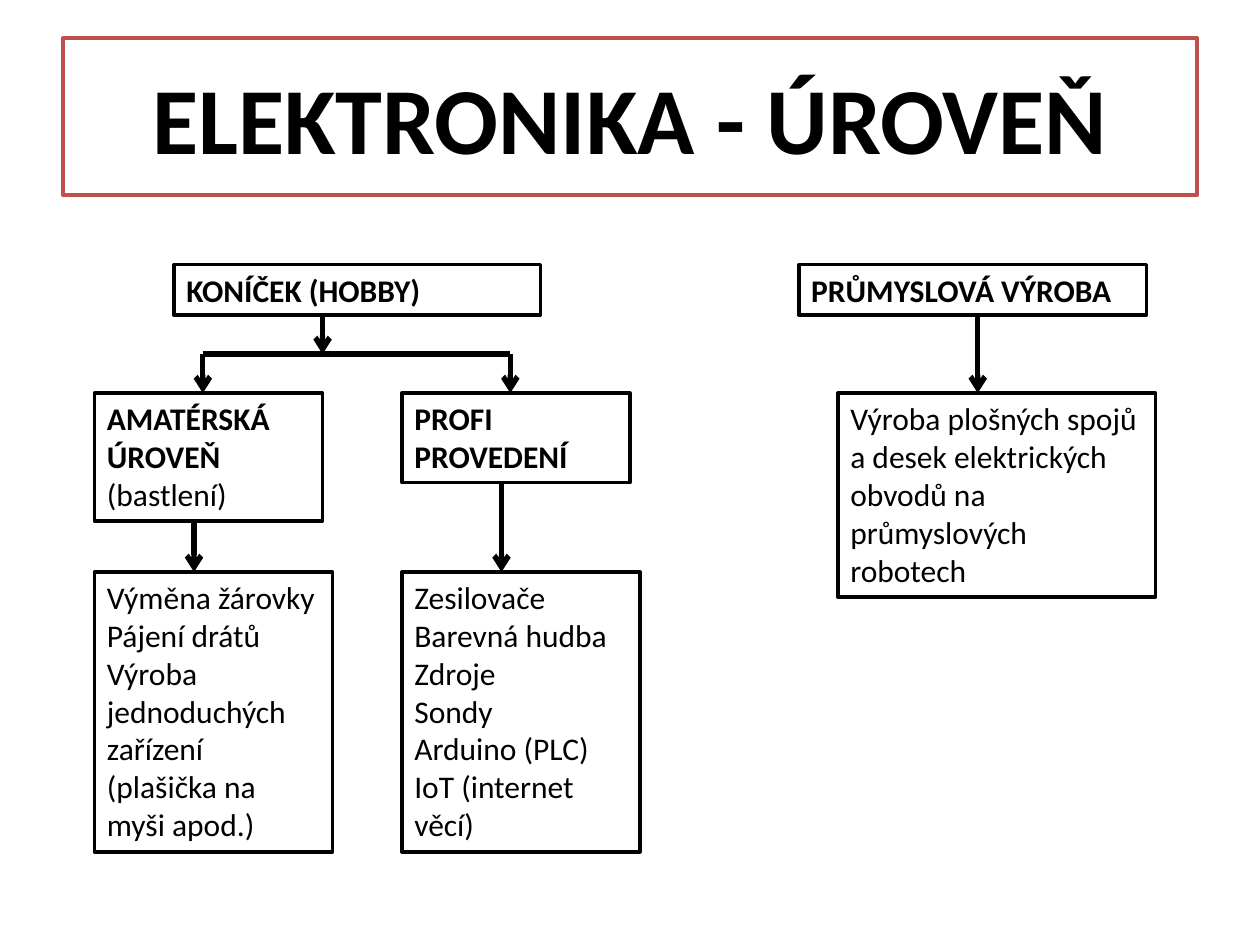
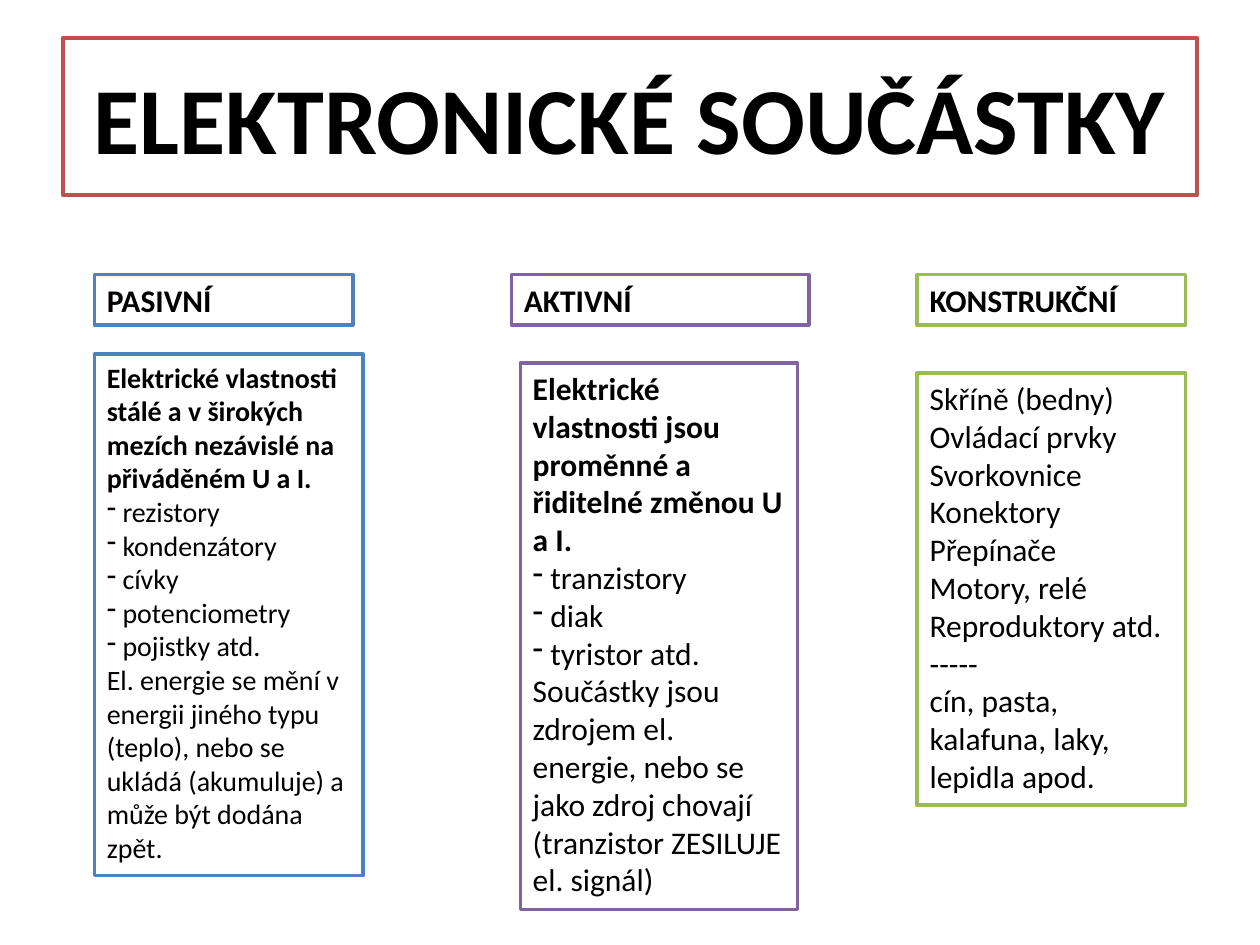
from dataclasses import dataclass

from lxml.etree import SubElement
from pptx import Presentation
from pptx.dml.color import RGBColor
from pptx.enum.shapes import MSO_CONNECTOR
from pptx.enum.text import MSO_ANCHOR, PP_ALIGN
from pptx.oxml.ns import qn
from pptx.util import Inches, Pt

BLACK = RGBColor(0x00, 0x00, 0x00)
WHITE = RGBColor(0xFF, 0xFF, 0xFF)
RED = RGBColor(0xC0, 0x50, 0x4D)
BLUE = RGBColor(0x4F, 0x81, 0xBD)
PURPLE = RGBColor(0x80, 0x64, 0xA2)
GREEN = RGBColor(0x9B, 0xBB, 0x59)

FONT = "Calibri"
TITLE_SIZE = 54
TEXT_SIZE = 18
COLUMNS, ROWS = 100, 75
CELL = Inches(0.1)
LABEL_HEIGHT = 4


@dataclass
class Box:
    """An area of the slide grid, in columns and rows."""
    left: float
    top: float
    width: float
    height: float

    def inner(self, left, top, width, height):
        return Box(self.left + left, self.top + top, width, height)

    def point(self, column, row):
        return self.left + column, self.top + row


@dataclass
class Line:
    """One paragraph: a bold start, a plain rest, and perhaps a dash."""
    bold: str = ""
    plain: str = ""
    dash: bool = False


def plain_lines(*texts):
    return [Line(plain=text) for text in texts]


def dash_lines(*texts):
    return [Line(plain=text, dash=True) for text in texts]


def grid(*values):
    return [int(value * CELL) for value in values]


def add_dash(paragraph, size):
    properties = paragraph._p.get_or_add_pPr()
    hang = Pt(size * 0.56)
    properties.set("marL", str(hang))
    properties.set("indent", str(-hang))
    SubElement(properties, qn("a:buChar"), char="-")


def add_frame(slide, box, lines, color=BLACK, size=TEXT_SIZE):
    shape = slide.shapes.add_textbox(
        *grid(box.left, box.top, box.width, box.height))
    shape.fill.solid()
    shape.fill.fore_color.rgb = WHITE
    shape.line.color.rgb = color
    shape.line.width = Pt(2)
    text_frame = shape.text_frame
    text_frame.word_wrap = True
    for index, line in enumerate(lines):
        paragraph = text_frame.add_paragraph() if index else text_frame.paragraphs[0]
        if line.dash:
            add_dash(paragraph, size)
        for text, bold in ((line.bold, True), (line.plain, False)):
            if text:
                run = paragraph.add_run()
                run.text = text
                run.font.name = FONT
                run.font.size = Pt(size)
                run.font.bold = bold
                run.font.color.rgb = BLACK
    return shape


def add_line(slide, start, end, arrow=True):
    connector = slide.shapes.add_connector(
        MSO_CONNECTOR.STRAIGHT, *grid(*start, *end))
    connector.line.color.rgb = BLACK
    connector.line.width = Pt(3)
    if arrow:
        SubElement(connector.line._get_or_add_ln(), qn("a:tailEnd"), type="arrow")
    SubElement(connector._element.spPr, qn("a:effectLst"))


def add_titled_slide(presentation, title):
    slide = presentation.slides.add_slide(presentation.slide_layouts[6])
    box = Box(0.05 * COLUMNS, 0.04 * ROWS, 0.9 * COLUMNS, ROWS / 6)
    text_frame = add_frame(slide, box, [Line(title)], RED, TITLE_SIZE).text_frame
    text_frame.vertical_anchor = MSO_ANCHOR.MIDDLE
    text_frame.paragraphs[0].alignment = PP_ALIGN.CENTER
    return slide


def add_branch(slide, box, heading, heading_height, details):
    """A heading fed by an arrow from the box's top, with details below it."""
    heading_top, details_top = 3.1, 17.3
    heading_bottom = heading_top + heading_height
    add_frame(slide, box.inner(0, heading_top, 18.1, heading_height), [heading])
    add_frame(slide, box.inner(0, details_top, box.width, box.height - details_top),
              details)
    add_line(slide, box.point(8.6, 0), box.point(8.6, heading_top))
    add_line(slide, box.point(7.9, heading_bottom), box.point(7.9, details_top))


def add_hobby_tree(slide, box):
    fork_row, branch_step = 7.1, 24.4
    branches = [
        (Line("AMATÉRSKÁ ÚROVEŇ ", "(bastlení)"), 10.15,
         plain_lines("Výměna žárovky", "Pájení drátů",
                     "Výroba jednoduchých zařízení (plašička na myši apod.)")),
        (Line("PROFI PROVEDENÍ"), 7.1,
         plain_lines("Zesilovače", "Barevná hudba", "Zdroje", "Sondy",
                     "Arduino (PLC)", "IoT (internet věcí)")),
    ]
    add_frame(slide, box.inner(6.3, 0, 29.1, LABEL_HEIGHT), [Line("KONÍČEK (HOBBY)")])
    add_line(slide, box.point(18.1, LABEL_HEIGHT), box.point(18.1, fork_row))
    add_line(slide, box.point(8.6, fork_row),
             box.point(8.6 + branch_step, fork_row), arrow=False)
    for index, branch in enumerate(branches):
        branch_box = box.inner(index * branch_step, fork_row,
                               box.width - branch_step, box.height - fork_row)
        add_branch(slide, branch_box, *branch)


def add_industry_tree(slide, box):
    details_top = 10.2
    add_frame(slide, box.inner(0, 0, 27.6, LABEL_HEIGHT), [Line("PRŮMYSLOVÁ VÝROBA")])
    add_frame(slide, box.inner(3.1, details_top, box.width - 3.1,
                               box.height - details_top),
              plain_lines("Výroba plošných spojů a desek elektrických obvodů "
                          "na průmyslových robotech"))
    add_line(slide, box.point(14.2, LABEL_HEIGHT), box.point(14.2, details_top))


def add_component_group(slide, box, label, label_width, color, inset, gap, lines,
                        size=TEXT_SIZE):
    """A label and its description; inset moves the description to the right."""
    add_frame(slide, box.inner(0, 0, label_width, LABEL_HEIGHT), [Line(label)], color)
    details_top = LABEL_HEIGHT + gap
    add_frame(slide, box.inner(inset, details_top, box.width - inset,
                               box.height - details_top), lines, color, size)


def build_levels(presentation):
    slide = add_titled_slide(presentation, "ELEKTRONIKA - ÚROVEŇ")
    add_hobby_tree(slide, Box(7.5, 21, 43.3, 46.6))
    add_industry_tree(slide, Box(63.4, 21, 28.3, 26.4))


def build_components(presentation):
    slide = add_titled_slide(presentation, "ELEKTRONICKÉ SOUČÁSTKY")
    top = 21.8
    passive = [
        Line("Elektrické vlastnosti stálé a v širokých mezích nezávislé "
             "na přiváděném U a I."),
        *dash_lines("rezistory", "kondenzátory", "cívky", "potenciometry",
                    "pojistky atd."),
        Line(plain="El. energie se mění v energii jiného typu (teplo), nebo se "
                   "ukládá (akumuluje) a může být dodána zpět."),
    ]
    active = [
        Line("Elektrické vlastnosti jsou proměnné a řiditelné změnou U a I."),
        *dash_lines("tranzistory", "diak", "tyristor atd."),
        Line(plain="Součástky jsou zdrojem el. energie, nebo se jako zdroj "
                   "chovají (tranzistor ZESILUJE el. signál)"),
    ]
    structural = plain_lines(
        "Skříně (bedny)", "Ovládací prvky", "Svorkovnice", "Konektory", "Přepínače",
        "Motory, relé", "Reproduktory atd.", "-----",
        "cín, pasta, kalafuna, laky, lepidla apod.")
    add_component_group(slide, Box(7.5, top, 21.3, 47.7),
                        "PASIVNÍ", 20.5, BLUE, 0, 6.3 - LABEL_HEIGHT, passive, size=16)
    add_component_group(slide, Box(40.6, top, 22.7, 50.4),
                        "AKTIVNÍ", 23.6, PURPLE, 0.7, 7 - LABEL_HEIGHT, active)
    add_component_group(slide, Box(72.8, top, 21.3, 42.1),
                        "KONSTRUKČNÍ", 21.3, GREEN, 0, 7.8 - LABEL_HEIGHT, structural)


def main():
    presentation = Presentation()
    presentation.slide_width = COLUMNS * CELL
    presentation.slide_height = ROWS * CELL
    build_levels(presentation)
    build_components(presentation)
    presentation.save("out.pptx")


if __name__ == "__main__":
    main()
